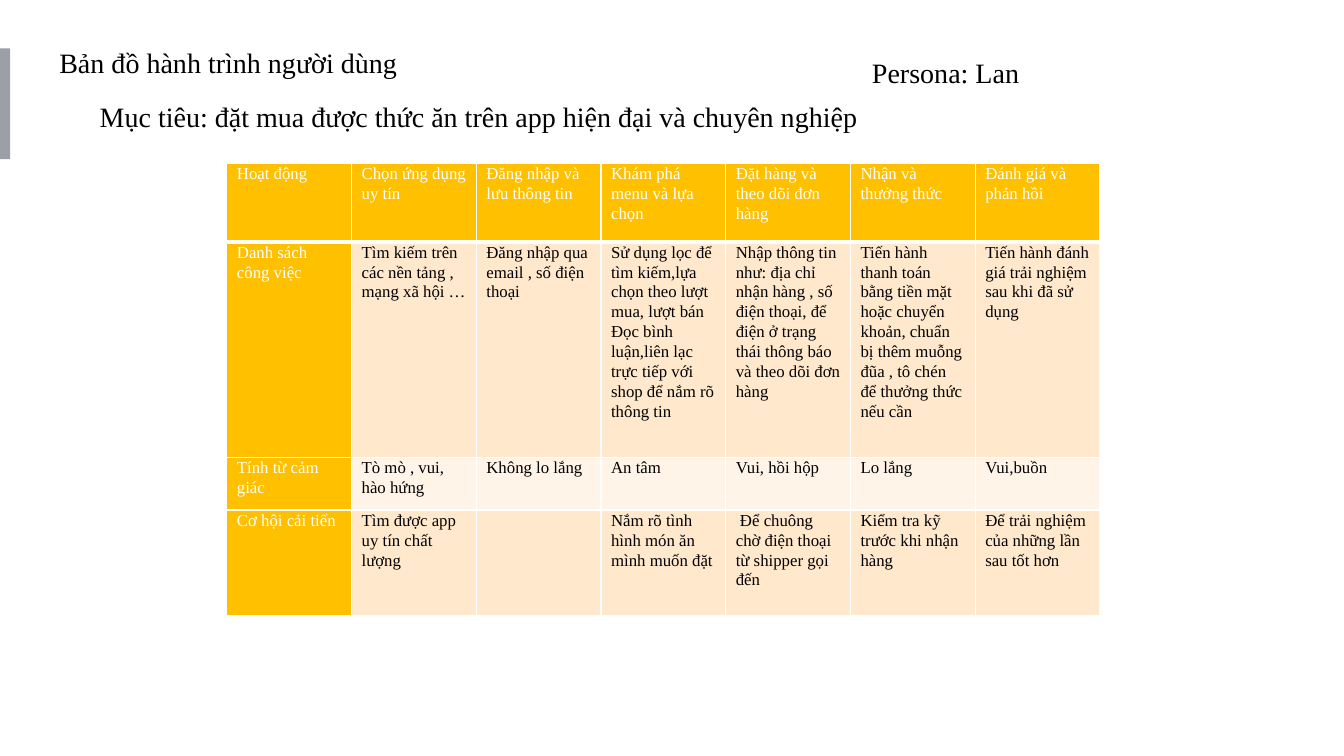
from lxml.etree import SubElement
from pptx import Presentation
from pptx.dml.color import RGBColor
from pptx.enum.shapes import MSO_SHAPE as Shape
from pptx.enum.text import MSO_AUTO_SIZE as AutoSize
from pptx.oxml.ns import qn
from pptx.util import Inches, Pt

WHITE, BLACK, AMBER = "FFFFFF", "000000", "FFC000"
BANDS = ["FFE8CC", "FFF4E7"]


def paint(target, color):
    if hasattr(target, "solid"):
        target.solid()
        target = target.fore_color
    target.rgb = RGBColor.from_string(color)


def write(frame, text, size=20, color=BLACK, spacing=None):
    frame.word_wrap = True
    for number, line in enumerate(text.split("\n")):
        para = frame.add_paragraph() if number else frame.paragraphs[0]
        if spacing:
            para.line_spacing = spacing
        span = para.add_run()
        span.text = line
        span.font.name = "Times New Roman"
        span.font.size = Pt(size)
        paint(span.font.color, color)


deck = Presentation()
deck.slide_width, deck.slide_height = Inches(13.33), Inches(7.5)
page = deck.slides.add_slide(deck.slide_layouts[6])

marker = page.shapes.add_shape(Shape.RECTANGLE, 0, Inches(0.48), Inches(0.1), Inches(1.1))
marker.shadow.inherit = False
paint(marker.fill, "9AA0A6")
marker.line.fill.background()

headings = [
    (0.49, 0.4, 5.53, "Bản đồ hành trình người dùng"),
    (8.55, 0.5, 2.35, "Persona: Lan"),
    (0.89, 0.94, 10.02, "Mục tiêu: đặt mua được thức ăn trên app hiện đại và chuyên nghiệp"),
]
for left, top, width, text in headings:
    box = page.shapes.add_textbox(Inches(left), Inches(top), Inches(width), Inches(0.44))
    write(box.text_frame, text)
    box.text_frame.auto_size = AutoSize.SHAPE_TO_FIT_TEXT

journey = [
    ["Hoạt động", "Chọn ứng dụng uy tín", "Đăng nhập và lưu thông tin",
     "Khám phá menu và lựa chọn", "Đặt hàng và theo dõi đơn hàng",
     "Nhận và thưởng thức", "Đánh giá và phản hồi"],
    ["Danh sách công việc",
     "Tìm kiếm trên các nền tảng , mạng xã hội …",
     "Đăng nhập qua email , số điện thoại",
     "Sử dụng lọc để tìm kiếm,lựa chọn theo lượt mua, lượt bán\n"
     "Đọc bình luận,liên lạc trực tiếp với shop để nắm rõ thông tin",
     "Nhập thông tin như: địa chỉ nhận hàng , số điện thoại, "
     "để điện ở trạng thái thông báo và theo dõi đơn hàng",
     "Tiến hành thanh toán bằng tiền mặt hoặc chuyển khoản, "
     "chuẩn bị thêm muỗng đũa , tô chén để thưởng thức nếu cần",
     "Tiến hành đánh giá trải nghiệm sau khi đã sử dụng"],
    ["Tính từ cảm giác", "Tò mò , vui, hào hứng", "Không lo lắng", "An tâm",
     "Vui, hồi hộp", "Lo lắng", "Vui,buồn"],
    ["Cơ hội cải tiến", "Tìm được app uy tín chất lượng", "",
     "Nắm rõ tình hình món ăn mình muốn đặt",
     " Để chuông chờ điện thoại từ shipper gọi đến",
     "Kiểm tra kỹ trước khi nhận hàng",
     "Để trải nghiệm của những lần sau tốt hơn"],
]
row_heights = [0.78, 2.14, 0.52, 1.05]
table_width = 8.66

table = page.shapes.add_table(
    len(journey), len(journey[0]), Inches(2.25), Inches(1.62),
    Inches(table_width), Inches(sum(row_heights))).table
for column in table.columns:
    column.width = Inches(table_width / len(journey[0]))

for row, (height, texts) in enumerate(zip(row_heights, journey)):
    table.rows[row].height = Inches(height)
    for column, text in enumerate(texts):
        cell = table.cell(row, column)
        is_label = row == 0 or column == 0
        cell.margin_left = cell.margin_right = Inches(0.1)
        cell.margin_top = cell.margin_bottom = 0
        for side in ("lnL", "lnR", "lnT", "lnB"):
            weight = 3 if row == 0 and side == "lnB" else 1
            border = SubElement(cell._tc.get_or_add_tcPr(), qn("a:" + side), w=str(Pt(weight)))
            SubElement(SubElement(border, qn("a:solidFill")), qn("a:srgbClr"), val=WHITE)
        paint(cell.fill, AMBER if is_label else BANDS[(row - 1) % 2])
        if text:
            write(cell.text_frame, text, size=12, spacing=1.07,
                  color=WHITE if is_label else BLACK)

deck.save("out.pptx")
